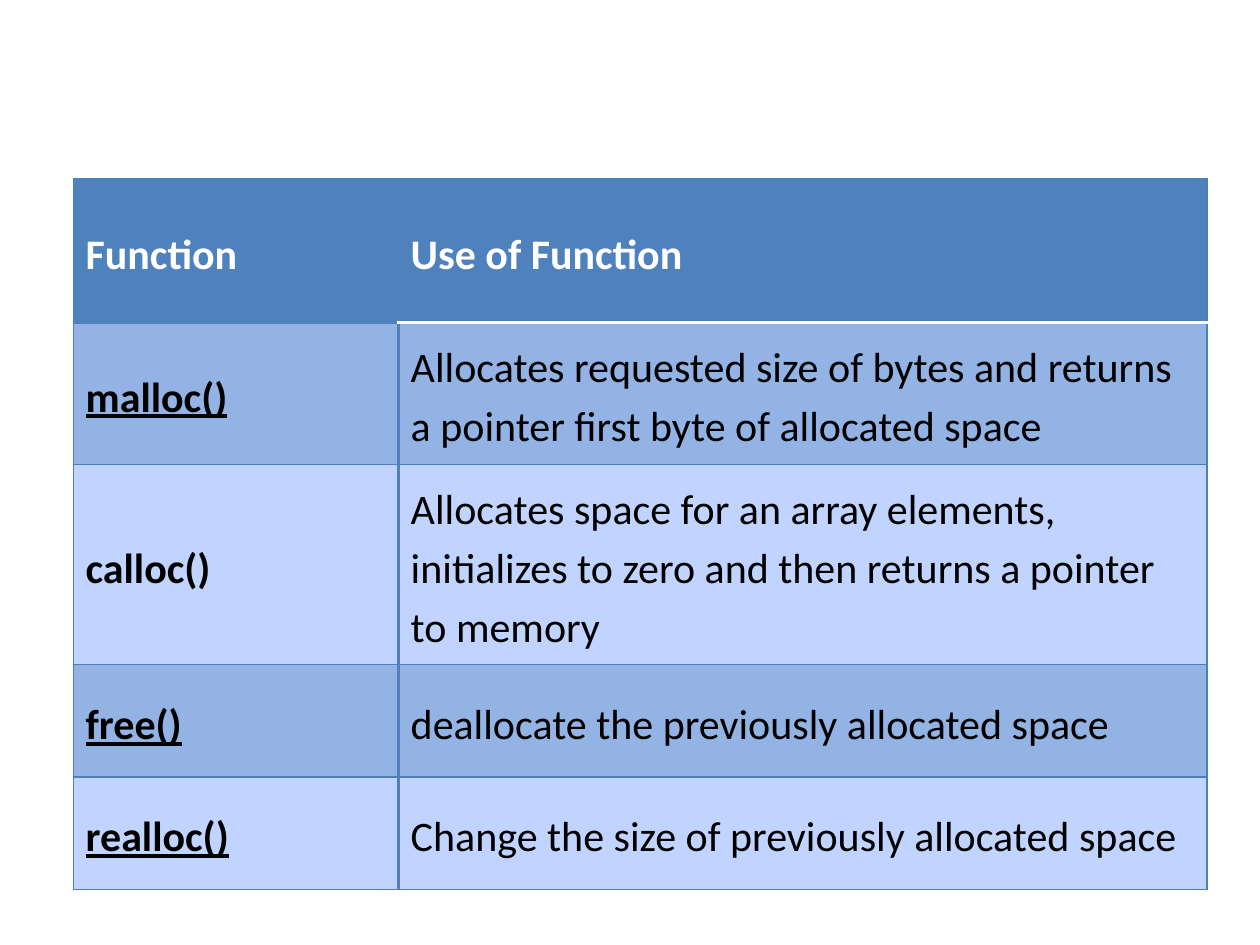
"""Builds a slide with a table of C memory functions."""
from lxml import etree
from pptx import Presentation
from pptx import util as u
from pptx.dml.color import RGBColor
from pptx.enum import text
from pptx.oxml.ns import qn

BLUE = RGBColor(0x4F, 0x81, 0xBD)
EDGE = RGBColor(0x4B, 0x7E, 0xBC)
BAND = RGBColor(0x93, 0xB3, 0xE5)
PALE = RGBColor(0xC0, 0xD4, 0xFF)
WHITE = RGBColor(0xFF, 0xFF, 0xFF)
BLACK = RGBColor(0x00, 0x00, 0x00)

HEADER = ("Function", "Use of Function")
FUNCTIONS = [
    ("malloc()", "Allocates requested size of bytes and returns a pointer first byte of allocated space"),
    ("calloc()", "Allocates space for an array elements, initializes to zero and then returns a pointer to memory"),
    ("free()", "deallocate the previously allocated space"),
    ("realloc()", "Change the size of previously allocated space"),
]
COLUMNS = (25.8, 64.2)
ROWS = (11.4, 8.9, 13.6, 8.9, 8.9)


class Deck:
    font, size, spacing = "Calibri", 24, 1.15
    grid_columns, grid_rows = 100, 75

    def __init__(self, width, height):
        self.prs = Presentation()
        self.prs.slide_width, self.prs.slide_height = u.Inches(width), u.Inches(height)
        self.s = self.prs.slides.add_slide(self.prs.slide_layouts[6])

    def x(self, columns):
        return round(self.prs.slide_width * columns / self.grid_columns)

    def y(self, rows):
        return round(self.prs.slide_height * rows / self.grid_rows)

    def table(self, left, top, columns, rows):
        sp = self.s.shapes.add_table(len(rows), len(columns), self.x(left), self.y(top),
                                     self.x(sum(columns)), self.y(sum(rows)))
        for column, width in zip(sp.table.columns, columns):
            column.width = self.x(width)
        for row, height in zip(sp.table.rows, rows):
            row.height = self.y(height)
        return sp.table

    def borders(self, cell, **sides):
        tc_pr = cell._tc.get_or_add_tcPr()
        for side in "LRTB":
            color, width = sides.get(side, (EDGE, 0.75))
            ln = etree.SubElement(tc_pr, qn("a:ln" + side), w=str(u.Pt(width)))
            fill = etree.SubElement(ln, qn("a:solidFill"))
            etree.SubElement(fill, qn("a:srgbClr"), val=str(color))

    def cell(self, cell, words, fill, color, bold, underline, top, bottom):
        cell.fill.solid()
        cell.fill.fore_color.rgb = fill
        cell.vertical_anchor = text.MSO_ANCHOR.MIDDLE
        cell.margin_left, cell.margin_right = u.Inches(0.1), u.Inches(0.08)
        cell.margin_top, cell.margin_bottom = u.Inches(top), u.Inches(bottom)
        p = cell.text_frame.paragraphs[0]
        p.line_spacing = self.spacing
        r = p.add_run()
        r.text = words
        r.font.name, r.font.size = self.font, u.Pt(self.size)
        r.font.bold, r.font.underline = bold, underline
        r.font.color.rgb = color


def main():
    deck = Deck(10, 7.5)
    table = deck.table(5.8, 14.2, COLUMNS, ROWS)
    divider, rule = (BLUE, 2), (WHITE, 2)

    for j, words in enumerate(HEADER):
        cell = table.cell(0, j)
        inner = {"L" if j else "R": divider}
        deck.borders(cell, B=rule if j else divider, **inner)
        deck.cell(cell, words, BLUE, WHITE, True, False, 0.16, 0.15)

    for i, row in enumerate(FUNCTIONS, 1):
        for j, words in enumerate(row):
            cell = table.cell(i, j)
            sides = {"L" if j else "R": divider}
            if i == 1:
                sides["T"] = rule if j else divider
            deck.borders(cell, **sides)
            underline = j == 0 and words != "calloc()"
            deck.cell(cell, words, BAND if i % 2 else PALE, BLACK, j == 0, underline, 0.1, 0.09)

    deck.prs.save("out.pptx")


if __name__ == "__main__":
    main()
